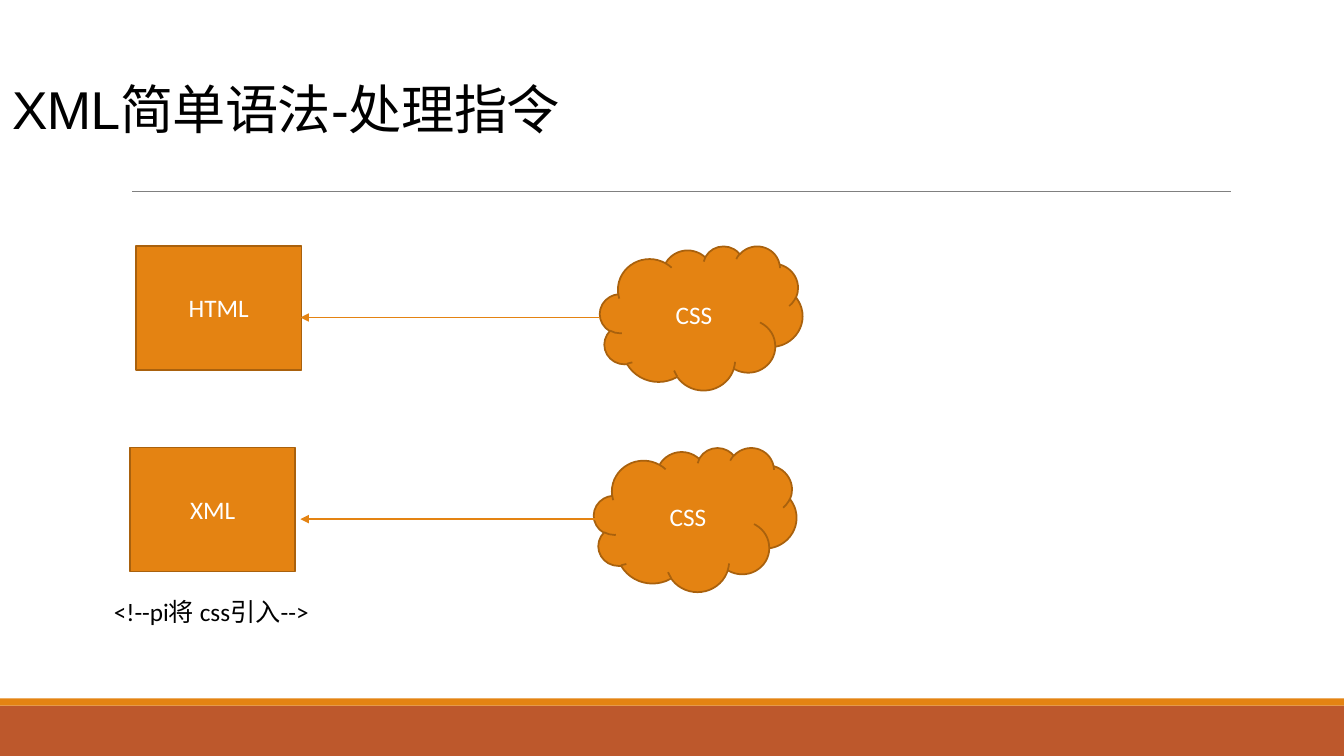
import pptx
import pptx.util
import pptx.dml.color
import pptx.enum.shapes
import pptx.enum.text
import pptx.oxml
import pptx.oxml.ns

Inches, Pt = pptx.util.Inches, pptx.util.Pt
SHAPE = pptx.enum.shapes.MSO_SHAPE
ALIGN = pptx.enum.text.PP_ALIGN
ANCHOR = pptx.enum.text.MSO_ANCHOR

COLORS = {
    "orange": "E48312",
    "outline": "A9610D",
    "rust": "BD582C",
    "rule": "808080",
    "text": "000000",
    "light": "FFFFFF",
}


def rgb(name):
    return pptx.dml.color.RGBColor.from_string(COLORS[name])


def style_paragraph(paragraph, size, color, font="Calibri", align=ALIGN.LEFT):
    paragraph.alignment = align
    paragraph.font.size = Pt(size)
    paragraph.font.name = font
    paragraph.font.color.rgb = rgb(color)


def add_block(slide, kind, box, fill, outline=None, label=""):
    block = slide.shapes.add_shape(kind, *map(Inches, box))
    block.shadow.inherit = False
    block.fill.solid()
    block.fill.fore_color.rgb = rgb(fill)
    if outline:
        block.line.color.rgb = rgb(outline)
        block.line.width = Pt(1.25)
    else:
        block.line.fill.background()
    if label:
        block.text_frame.text = label
        block.text_frame.vertical_anchor = ANCHOR.MIDDLE
        style_paragraph(block.text_frame.paragraphs[0], 18, "light", align=ALIGN.CENTER)


def add_line(slide, start_x, end_x, y, color, width, arrow=False):
    line = slide.shapes.add_connector(
        pptx.enum.shapes.MSO_CONNECTOR.STRAIGHT,
        Inches(start_x), Inches(y), Inches(end_x), Inches(y))
    line.line.color.rgb = rgb(color)
    line.line.width = Pt(width)
    if arrow:
        tail = pptx.oxml.parse_xml(
            f'<a:tailEnd {pptx.oxml.ns.nsdecls("a")} type="triangle"/>')
        line.line._get_or_add_ln().append(tail)
    effects = pptx.oxml.parse_xml(f'<a:effectLst {pptx.oxml.ns.nsdecls("a")}/>')
    line._element.spPr.append(effects)


def add_frame(slide, width, height):
    """Draw the footer bands and the rule under the title."""
    band, strip = 0.5, 0.07
    add_block(slide, SHAPE.RECTANGLE, (0, height - band, width, band), "rust")
    add_block(slide, SHAPE.RECTANGLE, (0, height - band - strip, width, strip), "orange")
    add_line(slide, 1.31, 12.21, 1.9, "rule", 0.5)


def set_title(slide, box, text):
    title = slide.shapes.title
    title.left, title.top, title.width, title.height = map(Inches, box)
    frame = title.text_frame
    frame.text = text
    frame.word_wrap = True
    frame.auto_size = pptx.enum.text.MSO_AUTO_SIZE.NONE
    frame.vertical_anchor = ANCHOR.MIDDLE
    style_paragraph(frame.paragraphs[0], 38, "text", font="Arial")
    frame.paragraphs[0].runs[0].font._element.set("spc", "-50")


def add_style_link(slide, left, top, document):
    """Draw a document box with an arrow pointing to it from a CSS cloud."""
    add_block(slide, SHAPE.RECTANGLE, (left, top, 1.64, 1.23),
              "orange", "outline", document)
    cloud_left = left + 4.6
    add_block(slide, SHAPE.CLOUD, (cloud_left, top, 2.01, 1.43),
              "orange", "outline", "CSS")
    add_line(slide, 5.95, 2.98, top + 0.71, "orange", 1, arrow=True)


def add_note(slide, box, text):
    note = slide.shapes.add_textbox(*map(Inches, box))
    note.text_frame.word_wrap = True
    note.text_frame.text = text
    style_paragraph(note.text_frame.paragraphs[0], 18, "text")


def main():
    width, height = 13.33, 7.5
    deck = pptx.Presentation()
    deck.slide_width, deck.slide_height = Inches(width), Inches(height)
    slide = deck.slides.add_slide(deck.slide_layouts.get_by_name("Title Only"))
    add_frame(slide, width, height)
    set_title(slide, (0.02, 0.7, 5.77, 0.74), "XML简单语法-处理指令")
    add_style_link(slide, 1.35, 2.44, "HTML")
    add_style_link(slide, 1.29, 4.44, "XML")
    add_note(slide, (1.03, 5.87, 2.15, 0.4), "<!--pi将 css引入-->")
    deck.save("out.pptx")


if __name__ == "__main__":
    main()
